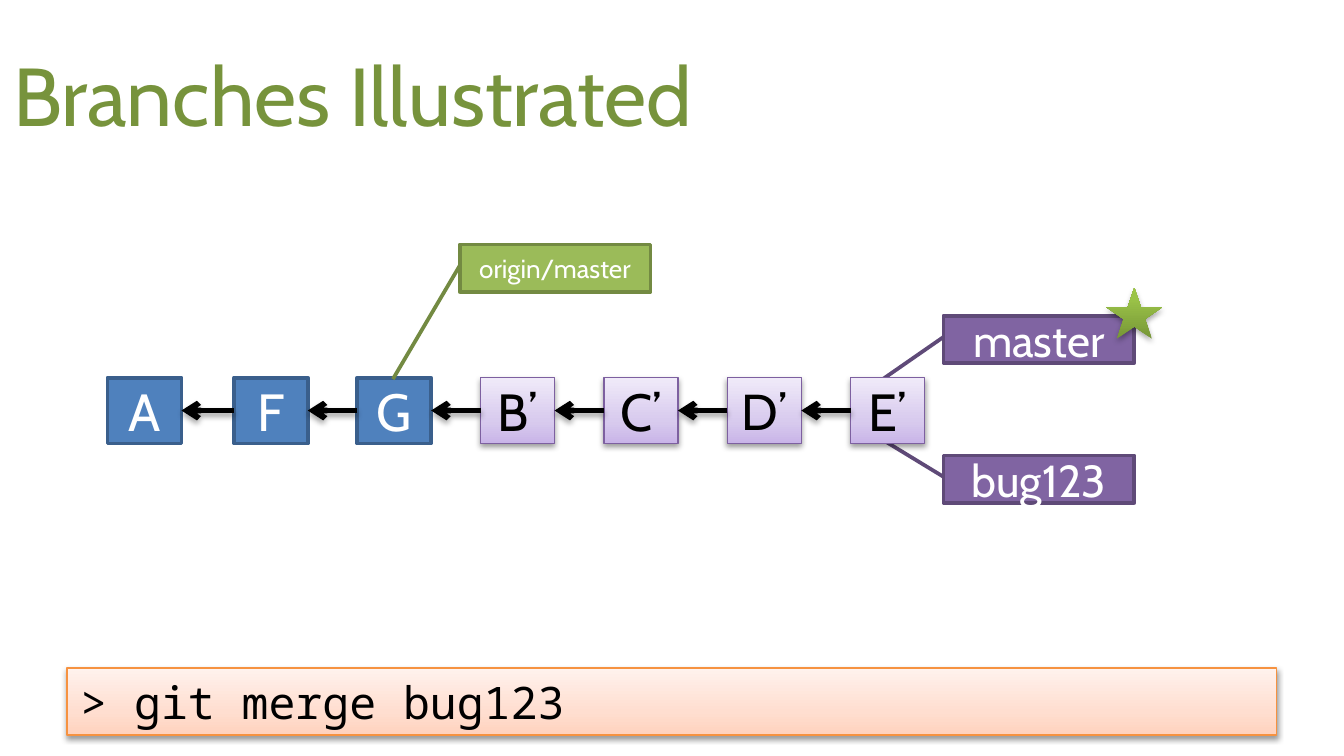
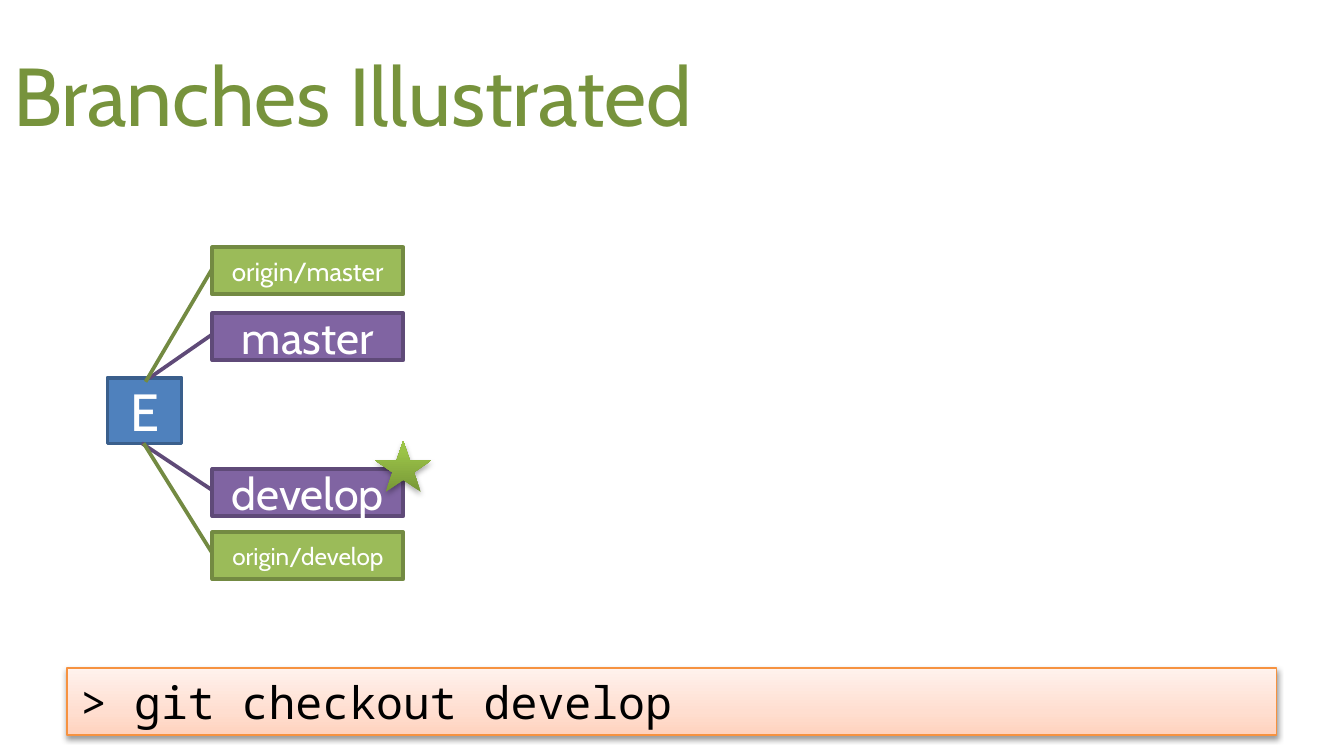
import pptx
import pptx.dml.color
import pptx.enum.shapes
import pptx.enum.text
import pptx.oxml.ns
import pptx.util
from lxml import etree

SHAPE = pptx.enum.shapes.MSO_SHAPE
ALIGN = pptx.enum.text.PP_ALIGN
ANCHOR = pptx.enum.text.MSO_ANCHOR
FIT = pptx.enum.text.MSO_AUTO_SIZE
COLS, ROWS = 100, 56.25
COMMIT_W, COMMIT_H, COMMIT_ROW = 5.5, 4.9, 28.1
LABEL_W, LABEL_H = 14.2, 3.5
BLUE = {"fill": "4F81BD", "line": ("3A5F8C", 2)}
PURPLE = {"fill": "8064A2", "line": ("5F4A78", 2)}
GREEN = {"fill": "9BBB59", "line": ("738A42", 2)}
LILAC = {
    "fill": ((0, "C9B5E8"), (35, "D8CBEE"), (100, "F0EAF9")),
    "line": ("7D60A0", 0.75),
    "shadow": (38, 1.6),
}
PEACH = {
    "fill": ((0, "FFD2BD"), (35, "FFDED0"), (100, "FFF2ED")),
    "line": ("F69240", 0.75),
    "shadow": (38, 1.6),
}
STAR = {
    "fill": ((0, "779737"), (80, "9BC348"), (100, "9DC746")),
    "shadow": (35, 1.8),
}


def rgb(value):
    return pptx.dml.color.RGBColor.from_string(value)


def assign(target, values):
    for name, value in values.items():
        setattr(target, name, value)


def child(parent, tag, **attributes):
    node = etree.SubElement(parent, pptx.oxml.ns.qn(f"a:{tag}"))
    for name, value in attributes.items():
        node.set(name, str(value))
    return node


class Deck:
    font = "Cabin"
    mono = "Noto Sans Mono"

    def __init__(self):
        self.prs = pptx.Presentation()
        self.prs.slide_width = pptx.util.Inches(10)
        self.prs.slide_height = self.prs.slide_width * 9 // 16

    def slide(self, title, command):
        self.s = self.prs.slides.add_slide(self.prs.slide_layouts[6])
        sp = self.s.shapes.add_textbox(*self.box(0, 2.3, 90, 9.4))
        self.text(sp, title, 44, "77933C", align=ALIGN.LEFT)
        sp = self.shape(SHAPE.RECTANGLE, 5, 49.7, 90, 5, PEACH)
        self.text(sp, command, 24, "000000", self.mono, ALIGN.LEFT, ANCHOR.TOP)
        sp.text_frame.auto_size = FIT.SHAPE_TO_FIT_TEXT

    def box(self, col, row, width, height):
        x = self.prs.slide_width / COLS
        y = self.prs.slide_height / ROWS
        return [round(n) for n in (col * x, row * y, width * x, height * y)]

    def text(self, sp, words, size, color, font=None,
             align=ALIGN.CENTER, anchor=ANCHOR.MIDDLE):
        tf = sp.text_frame
        assign(tf, {"word_wrap": True, "vertical_anchor": anchor})
        p = tf.paragraphs[0]
        p.alignment = align
        r = p.add_run()
        r.text = words
        assign(r.font, {"name": font or self.font, "size": pptx.util.Pt(size)})
        r.font.color.rgb = rgb(color)

    def gradient(self, sp, stops):
        sp.fill.gradient()
        sp.fill.gradient_angle = 90
        stop_list = sp._element.spPr.find(".//" + pptx.oxml.ns.qn("a:gsLst"))
        for old in list(stop_list):
            stop_list.remove(old)
        for position, color in stops:
            child(child(stop_list, "gs", pos=position * 1000), "srgbClr", val=color)

    def shadow(self, effects, alpha, distance):
        outer = child(effects, "outerShdw", blurRad=pptx.util.Pt(3.1),
                      dist=pptx.util.Pt(distance), dir=5400000, rotWithShape=0)
        child(child(outer, "srgbClr", val="000000"), "alpha", val=alpha * 1000)

    def shape(self, kind, col, row, width, height, style):
        sp = self.s.shapes.add_shape(kind, *self.box(col, row, width, height))
        if isinstance(style["fill"], str):
            sp.fill.solid()
            sp.fill.fore_color.rgb = rgb(style["fill"])
        else:
            self.gradient(sp, style["fill"])
        if "line" in style:
            color, weight = style["line"]
            sp.line.color.rgb = rgb(color)
            sp.line.width = pptx.util.Pt(weight)
        else:
            sp.line.fill.background()
        sp.shadow.inherit = False
        if "shadow" in style:
            effects = sp._element.spPr.find(pptx.oxml.ns.qn("a:effectLst"))
            self.shadow(effects, *style["shadow"])
        return sp

    def commit(self, name, col, style=BLUE, size=28):
        sp = self.shape(SHAPE.RECTANGLE, col, COMMIT_ROW, COMMIT_W, COMMIT_H, style)
        self.text(sp, name, size, "000000" if style is LILAC else "FFFFFF")
        return sp

    def branch(self, name, col, row, style, tip, size=24):
        sp = self.shape(SHAPE.LINE_CALLOUT_1, col, row, LABEL_W, LABEL_H, style)
        for i, value in enumerate((0.45, 0, *tip)):
            sp.adjustments[i] = value
        self.text(sp, name, size, "FFFFFF")

    def star(self, col, row):
        self.shape(SHAPE.STAR_5_POINT, col, row, 4.2, 3.8, STAR)

    def arrow(self, start, end):
        straight = pptx.enum.shapes.MSO_CONNECTOR.STRAIGHT
        c = self.s.shapes.add_connector(straight, 0, 0, 0, 0)
        c.begin_connect(start, 1)
        c.end_connect(end, 3)
        c.line.color.rgb = rgb("000000")
        c.line.width = pptx.util.Pt(3)
        child(c.line._get_or_add_ln(), "tailEnd", type="arrow")
        self.shadow(child(c._element.spPr, "effectLst"), 35, 1.8)


def merged_history(deck):
    deck.slide("Branches Illustrated", "> git merge bug123")
    deck.branch("master", 70.2, 23.5, PURPLE, (1.38, -0.33))
    deck.branch("bug123", 70.2, 33.9, PURPLE, (-0.39, -0.34))
    parent = deck.commit("A", 8)
    rebased = (("F", BLUE, 28), ("G", BLUE, 28), ("B’", LILAC, 28),
               ("C’", LILAC, 28), ("D’", LILAC, 27), ("E’", LILAC, 28))
    for i, (name, style, size) in enumerate(rebased):
        commit = deck.commit(name, 17.4 + 9.18 * i, style, size)
        deck.arrow(commit, parent)
        parent = commit
    deck.branch("origin/master", 34.2, 18.2, GREEN, (2.86, -0.35), 14)
    deck.star(82.3, 21.4)


def develop_checkout(deck):
    deck.slide("Branches Illustrated", "> git checkout develop")
    deck.commit("E", 8)
    branches = (
        ("master", 23.3, PURPLE, (1.38, -0.33), 24),
        ("origin/master", 18.4, GREEN, (2.86, -0.35), 14),
        ("develop", 34.9, PURPLE, (-0.55, -0.37), 24),
        ("origin/develop", 39.6, GREEN, (-1.89, -0.36), 13),
    )
    for name, row, style, tip, size in branches:
        deck.branch(name, 15.8, row, style, tip, size)
    deck.star(27.9, 32.8)


def main():
    deck = Deck()
    merged_history(deck)
    develop_checkout(deck)
    deck.prs.save("out.pptx")


if __name__ == "__main__":
    main()
